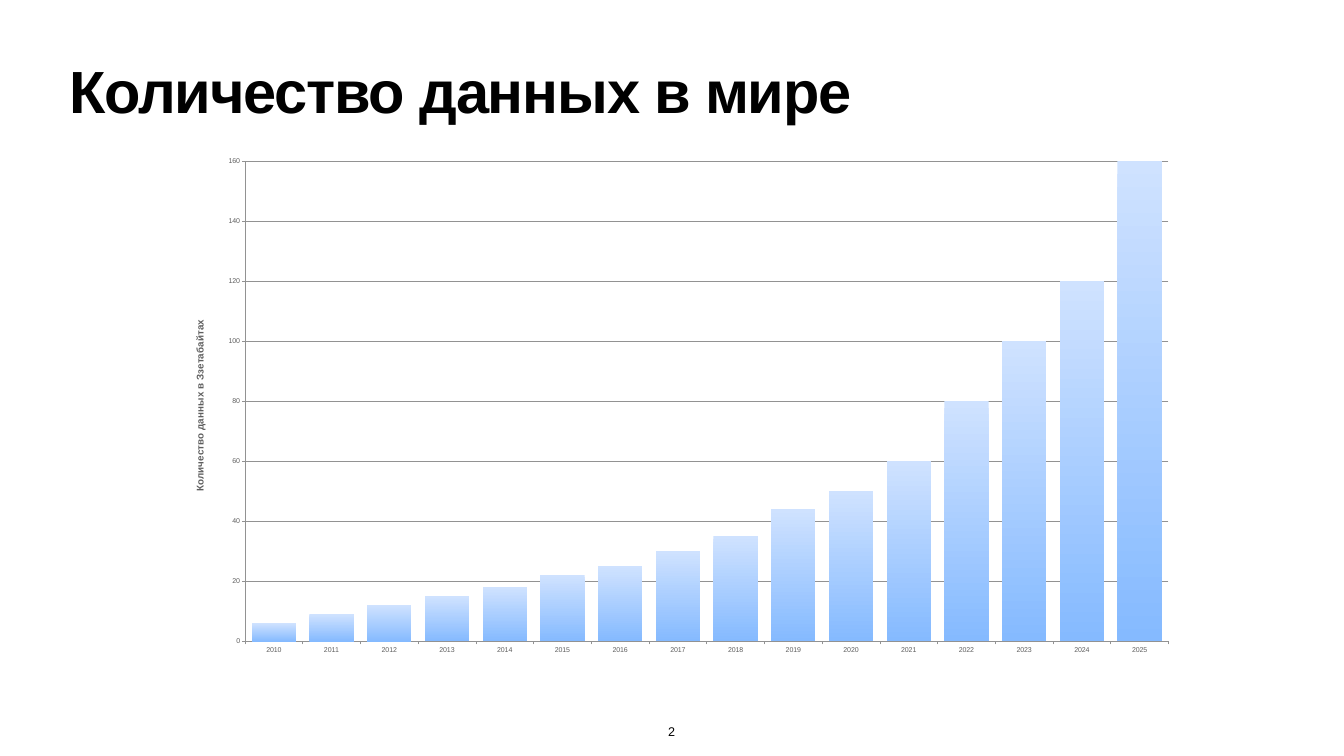
from pptx import Presentation
from pptx.chart.data import CategoryChartData
from pptx.dml.color import RGBColor
from pptx.enum.chart import XL_CHART_TYPE, XL_TICK_MARK
from pptx.enum.text import MSO_ANCHOR, PP_ALIGN
from pptx.oxml import parse_xml
from pptx.oxml.ns import nsdecls
from pptx.util import Pt

BLACK = RGBColor(0x00, 0x00, 0x00)
GREY = RGBColor(0x5E, 0x5E, 0x5E)
RULE = RGBColor(0x92, 0x92, 0x92)
PALE = RGBColor(0xCF, 0xE2, 0xFF)
BLUE = RGBColor(0x85, 0xBA, 0xFF)
FACE = "Arial"
YEARS = range(2010, 2026)
VOLUMES = (6, 9, 12, 15, 18, 22, 25, 30, 35, 44, 50, 60, 80, 100, 120, 160)


def style(font, size, color, bold=False):
    font.name = FACE
    font.size = Pt(size)
    font.bold = bold
    font.color.rgb = color


def place(shape, box):
    shape.left, shape.top, shape.width, shape.height = map(Pt, box)


def add_title(slide, box):
    title = slide.shapes.title
    place(title, box)
    frame = title.text_frame
    frame.text = "Количество данных в мире"
    frame.word_wrap = True
    frame.vertical_anchor = MSO_ANCHOR.TOP
    frame.margin_left = frame.margin_right = Pt(4)
    frame.margin_top, frame.margin_bottom = Pt(12), Pt(4)
    line = frame.paragraphs[0]
    line.alignment = PP_ALIGN.LEFT
    line.line_spacing = 0.8
    run = line.runs[0]
    style(run.font, 85, BLACK, True)
    run.font._element.set("spc", "-170")


def add_number(slide, box):
    frame = slide.shapes.add_textbox(*map(Pt, box)).text_frame
    frame.text = "2"
    frame.word_wrap = False
    frame.vertical_anchor = MSO_ANCHOR.BOTTOM
    frame.margin_left = frame.margin_right = Pt(4)
    frame.margin_top = frame.margin_bottom = Pt(4)
    line = frame.paragraphs[0]
    line.alignment = PP_ALIGN.CENTER
    style(line.runs[0].font, 18, BLACK)


def set_plot(chart, left, top, width, height):
    area = chart._chartSpace.chart.plotArea
    for old in area.findall("{*}layout"):
        area.remove(old)
    area.insert(0, parse_xml(
        f'<c:layout {nsdecls("c")}><c:manualLayout>'
        '<c:layoutTarget val="inner"/><c:xMode val="edge"/><c:yMode val="edge"/>'
        f'<c:x val="{left}"/><c:y val="{top}"/>'
        f'<c:w val="{width}"/><c:h val="{height}"/>'
        '</c:manualLayout></c:layout>'))


def add_columns(slide, box):
    data = CategoryChartData()
    data.categories = [str(year) for year in YEARS]
    data.add_series("Series 1", VOLUMES)
    chart = slide.shapes.add_chart(
        XL_CHART_TYPE.COLUMN_CLUSTERED, *map(Pt, box), data).chart
    chart.has_legend = False
    chart.has_title = False
    style(chart.font, 10, GREY)
    set_plot(chart, 0.06, 0.03, 0.92, 0.93)

    plot = chart.plots[0]
    plot.gap_width = 30
    plot.vary_by_categories = False
    fill = plot.series[0].format.fill
    fill.gradient()
    fill.gradient_angle = 270
    for stop, color in zip(fill.gradient_stops, (PALE, BLUE)):
        stop.color.rgb = color

    value = chart.value_axis
    value.minimum_scale, value.maximum_scale = 0, 160
    value.major_unit = 20
    value.has_major_gridlines = True
    for axis in (chart.category_axis, value):
        axis.major_tick_mark = XL_TICK_MARK.OUTSIDE
        style(axis.tick_labels.font, 10, GREY)
    for part in (chart.category_axis, value, value.major_gridlines):
        part.format.line.color.rgb = RULE
        part.format.line.width = Pt(1)
    frame = value.axis_title.text_frame
    frame.text = "Количество данных в Ззетабайтах"
    style(frame.paragraphs[0].runs[0].font, 14, GREY, True)


def main():
    deck = Presentation()
    deck.slide_width, deck.slide_height = Pt(1920), Pt(1080)
    slide = deck.slides.add_slide(deck.slide_layouts[5])
    add_title(slide, (95, 85, 1730, 113))
    add_columns(slide, (264, 208, 1434, 738))
    add_number(slide, (945, 1030, 29, 30))
    deck.save("out.pptx")


if __name__ == "__main__":
    main()
